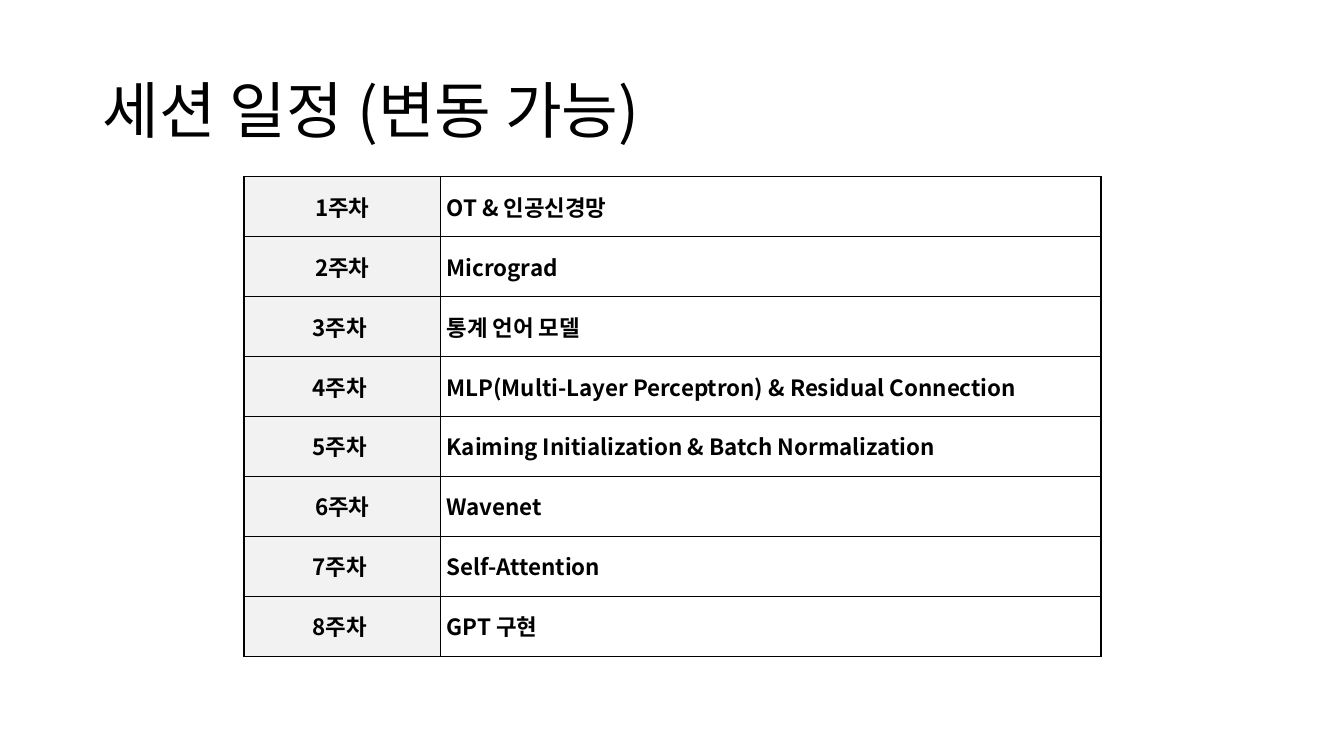
from lxml.etree import SubElement
from pptx import Presentation
from pptx.dml.color import RGBColor
from pptx.enum.text import MSO_ANCHOR as Anchor, PP_ALIGN as Align
from pptx.oxml.ns import qn
from pptx.util import Inches, Pt

FONT = "Noto Sans CJK KR"
BLACK, WHITE, GREY = "000000", "FFFFFF", "F2F2F2"
COLUMN_WIDTHS = (1.95, 6.55)
ROW_HEIGHT = 4.76 / 8
SESSIONS = (
    ("1주차", "OT & 인공신경망"),
    ("2주차", "Micrograd"),
    ("3주차 ", "통계 언어 모델"),
    ("4주차 ", "MLP(Multi-Layer Perceptron) & Residual Connection"),
    ("5주차 ", "Kaiming Initialization & Batch Normalization"),
    ("6주차", "Wavenet"),
    ("7주차 ", "Self-Attention"),
    ("8주차 ", "GPT 구현"),
)


def color(value):
    return RGBColor.from_string(value)


def write_text(text_frame, text, size, bold=False, align=Align.LEFT, spacing=1.0):
    paragraph = text_frame.paragraphs[0]
    paragraph.alignment = align
    paragraph.line_spacing = spacing
    run = paragraph.add_run()
    run.text = text
    run.font.size = Pt(size)
    run.font.bold = bold
    run.font.name = FONT
    run.font.color.rgb = color(BLACK)
    SubElement(run._r.get_or_add_rPr(), qn("a:ea"), typeface=FONT)


def add_title(slide, text):
    shape = slide.shapes.add_textbox(Inches(0.92), Inches(0.4), Inches(11.5), Inches(1.45))
    shape.text_frame.word_wrap = True
    shape.text_frame.vertical_anchor = Anchor.MIDDLE
    write_text(shape.text_frame, text, size=44, spacing=0.9)


def add_borders(cell):
    properties = cell._tc.get_or_add_tcPr()
    for side in ("lnL", "lnR", "lnT", "lnB"):
        line = SubElement(properties, qn(f"a:{side}"), w=str(Pt(1)))
        fill = SubElement(line, qn("a:solidFill"))
        SubElement(fill, qn("a:srgbClr"), val=BLACK)


def fill_cell(cell, text, fill, align):
    add_borders(cell)
    cell.fill.solid()
    cell.fill.fore_color.rgb = color(fill)
    cell.vertical_anchor = Anchor.MIDDLE
    cell.margin_left = cell.margin_right = Inches(0.06)
    cell.margin_top = cell.margin_bottom = Inches(0.02)
    write_text(cell.text_frame, text, size=16, bold=True, align=align)


def add_schedule(slide, sessions):
    frame = slide.shapes.add_table(
        len(sessions), len(COLUMN_WIDTHS), Inches(2.42), Inches(1.75),
        Inches(sum(COLUMN_WIDTHS)), Inches(ROW_HEIGHT * len(sessions)))
    table = frame.table
    table.first_row = table.horz_banding = False
    for column, width in zip(table.columns, COLUMN_WIDTHS):
        column.width = Inches(width)
    for index, (week, topic) in enumerate(sessions):
        table.rows[index].height = Inches(ROW_HEIGHT)
        fill_cell(table.cell(index, 0), week, GREY, Align.CENTER)
        fill_cell(table.cell(index, 1), topic, WHITE, Align.JUSTIFY)


def main():
    presentation = Presentation()
    presentation.slide_width = Inches(13.33)
    presentation.slide_height = Inches(7.5)
    slide = presentation.slides.add_slide(presentation.slide_layouts[6])
    add_title(slide, "세션 일정 (변동 가능)")
    add_schedule(slide, SESSIONS)
    presentation.save("out.pptx")


if __name__ == "__main__":
    main()
